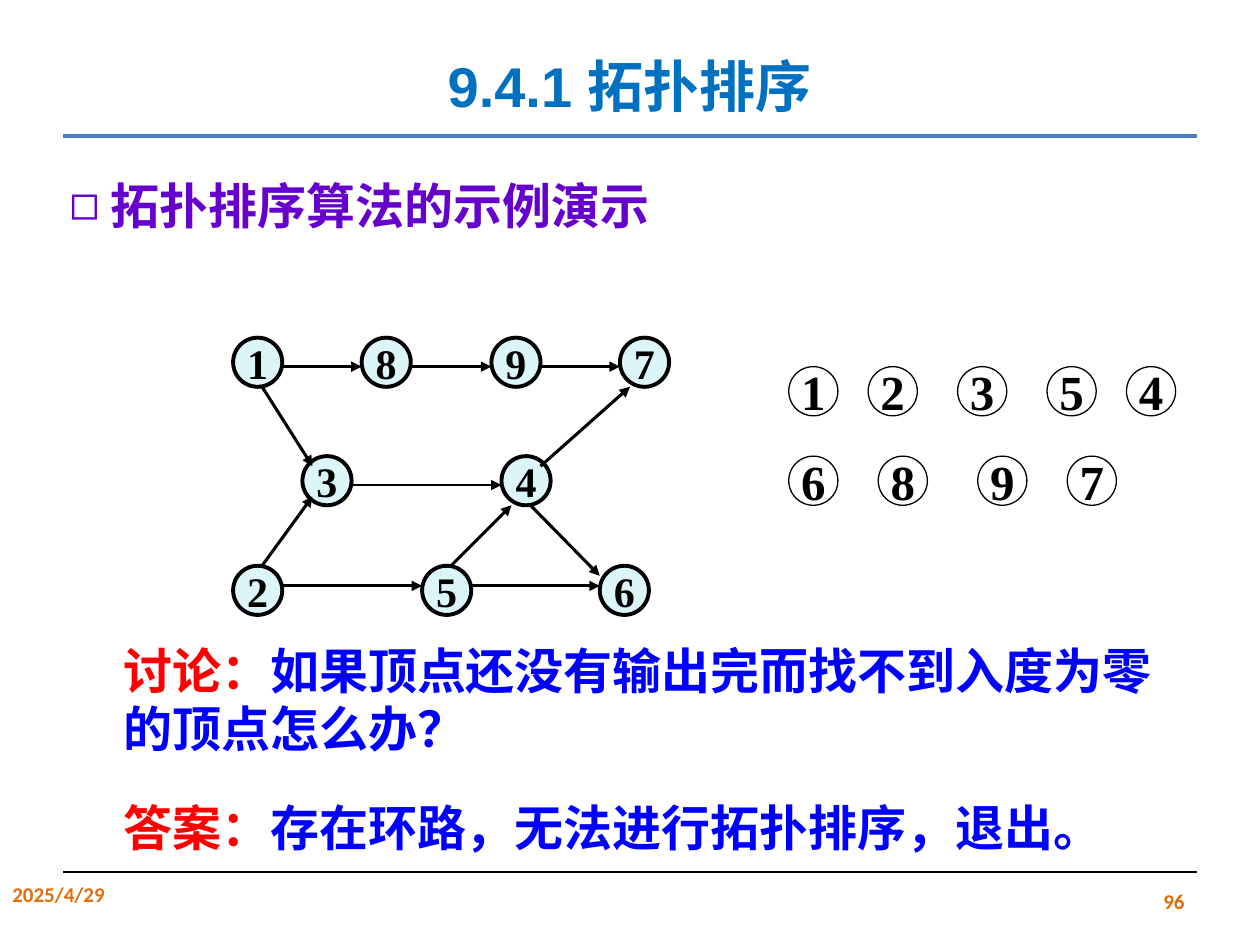
from lxml import etree
from pptx import Presentation
from pptx import util as u
from pptx.dml.color import RGBColor
from pptx.enum import shapes, text
from pptx.oxml import ns

COLORS = {
    "title": "0070C0", "rule": "4B7EBC", "heading": "6600CC", "footer": "E46C0A",
    "node": "DBF5F9", "ink": "000000", "label": "FF0000", "body": "0000FF",
}
SERIF, SANS, FOOTER = "Times New Roman", "Arial", "Calibri"
DIAMETER = 0.39
NODES = {
    1: (1.85, 2.68), 8: (2.87, 2.68), 9: (3.9, 2.68), 7: (4.92, 2.68),
    3: (2.4, 3.62), 4: (3.98, 3.62),
    2: (1.85, 4.49), 5: (3.35, 4.49), 6: (4.76, 4.49),
}
ANCHORS = {
    "top": (0.23, 0), "bottom": (0.23, DIAMETER),
    "right": (DIAMETER, 0.23), "left": (0, 0.23),
    "upper right": (DIAMETER, 0.16), "upper left": (0, 0.16),
    "corner left": (0, 0.08), "corner top left": (0.08, 0.08),
    "corner top right": (0.31, 0.08), "corner bottom left": (0.08, 0.32),
    "foot left": (0.08, DIAMETER),
}
EDGES = [
    (1, "bottom", 3, "corner top left", 1.75),
    (2, "top", 3, "corner bottom left", 1.75),
    (1, "right", 8, "left", 1.75),
    (8, "right", 9, "left", 1.75),
    (9, "right", 7, "left", 1.75),
    (3, "right", 4, "left", 0.75),
    (2, "upper right", 5, "upper left", 1.75),
    (5, "upper right", 6, "upper left", 1.75),
    (5, "top", 4, "foot left", 1.75),
    (4, "corner top right", 7, "foot left", 1.75),
    (4, "bottom", 6, "corner left", 1.75),
]
OUTPUT_ROWS = [
    (2.91, [(1, 6.26), (2, 6.89), (3, 7.6), (5, 8.31), (4, 8.94)]),
    (3.62, [(6, 6.26), (8, 6.97), (9, 7.76), (7, 8.47)]),
]


def color(name):
    return RGBColor.from_string(COLORS[name])


def write(para, words, size=28, font=SERIF, ink="ink", align=None):
    if align is not None:
        para.alignment = align
    span = para.add_run()
    span.text = words
    span.font.size = u.Pt(size)
    span.font.name = font
    span.font.bold = True
    span.font.color.rgb = color(ink)


class SlideBuilder:
    def __init__(self, page):
        self.page = page

    def place(self, box, left, top, width, height):
        box.left, box.top = u.Inches(left), u.Inches(top)
        box.width, box.height = u.Inches(width), u.Inches(height)

    def title(self, words):
        box = self.page.shapes.title
        self.place(box, 0.5, 0, 9, 1.09)
        box.text_frame.vertical_anchor = text.MSO_ANCHOR.MIDDLE
        para = box.text_frame.paragraphs[0]
        para.line_spacing = 1.5
        write(para, words, size=32, font=SANS, ink="title", align=text.PP_ALIGN.CENTER)

    def heading(self, words):
        box = self.page.placeholders[1]
        self.place(box, 0.45, 1.34, 8.25, 0.57)
        para = box.text_frame.paragraphs[0]
        para.space_before = u.Pt(0)
        props = para._p.get_or_add_pPr()
        props.set("marL", str(u.Inches(0.33)))
        props.set("indent", str(-u.Inches(0.33)))
        etree.SubElement(props, ns.qn("a:buChar")).set("char", "◻")
        write(para, words, ink="heading")

    def line(self, start, end, width, ink="ink", arrow=False):
        points = [u.Inches(value) for value in (*start, *end)]
        line = self.page.shapes.add_connector(shapes.MSO_CONNECTOR.STRAIGHT, *points)
        line.line.color.rgb = color(ink)
        line.line.width = u.Pt(width)
        if arrow:
            tail = etree.SubElement(line.line._get_or_add_ln(), ns.qn("a:tailEnd"))
            tail.set("type", "triangle")
        etree.SubElement(line._element.spPr, ns.qn("a:effectLst"))

    def circle(self, number, left, top, size, width, fill=None):
        side = u.Inches(DIAMETER)
        circle = self.page.shapes.add_shape(
            shapes.MSO_SHAPE.OVAL, u.Inches(left), u.Inches(top), side, side)
        circle.shadow.inherit = False
        if fill:
            circle.fill.solid()
            circle.fill.fore_color.rgb = color(fill)
        else:
            circle.fill.background()
        circle.line.color.rgb = color("ink")
        circle.line.width = u.Pt(width)
        frame = circle.text_frame
        frame.word_wrap = False
        frame.vertical_anchor = text.MSO_ANCHOR.MIDDLE
        write(frame.paragraphs[0], str(number), size=size, align=text.PP_ALIGN.CENTER)

    def textbox(self, left, top, width, height, inset=True):
        box = self.page.shapes.add_textbox(
            u.Inches(left), u.Inches(top), u.Inches(width), u.Inches(height))
        frame = box.text_frame
        frame.word_wrap = True
        if not inset:
            frame.margin_left = frame.margin_right = 0
            frame.margin_top = frame.margin_bottom = 0
        return frame

    def footer(self, words, left, align, anchor):
        frame = self.textbox(left, 6.95, 2.33, 0.4)
        frame.vertical_anchor = anchor
        write(frame.paragraphs[0], words, size=12, font=FOOTER, ink="footer", align=align)

    def remark(self, label, words, top, height):
        para = self.textbox(0.98, top, 8.35, height, inset=False).paragraphs[0]
        write(para, label, ink="label")
        write(para, words, ink="body")

    def edge(self, source, leave, target, arrive, width):
        start, end = (
            [place + shift for place, shift in zip(NODES[node], ANCHORS[anchor])]
            for node, anchor in ((source, leave), (target, arrive)))
        self.line(start, end, width, arrow=True)


def main():
    deck = Presentation()
    deck.slide_width, deck.slide_height = u.Inches(10), u.Inches(7.5)
    slide = SlideBuilder(deck.slides.add_slide(deck.slide_layouts[1]))

    slide.title("9.4.1 拓扑排序")
    slide.heading("拓扑排序算法的示例演示")
    slide.line((0.5, 1.08), (9.5, 1.08), 2.75, ink="rule")
    slide.line((0.5, 6.92), (9.5, 6.92), 0.75)
    slide.footer("2025/4/29", 0, text.PP_ALIGN.LEFT, text.MSO_ANCHOR.TOP)
    slide.footer("96", 7.17, text.PP_ALIGN.RIGHT, text.MSO_ANCHOR.MIDDLE)

    for number, (left, top) in NODES.items():
        slide.circle(number, left, top, 24, 2.25, fill="node")
    for edge in EDGES:
        slide.edge(*edge)
    for top, row in OUTPUT_ROWS:
        for number, left in row:
            slide.circle(number, left, top, 28, 0.75)

    slide.remark("讨论：", "如果顶点还没有输出完而找不到入度为零的顶点怎么办？", 5.08, 0.93)
    slide.remark("答案：", "存在环路，无法进行拓扑排序，退出。", 6.33, 0.47)
    deck.save("out.pptx")


if __name__ == "__main__":
    main()
